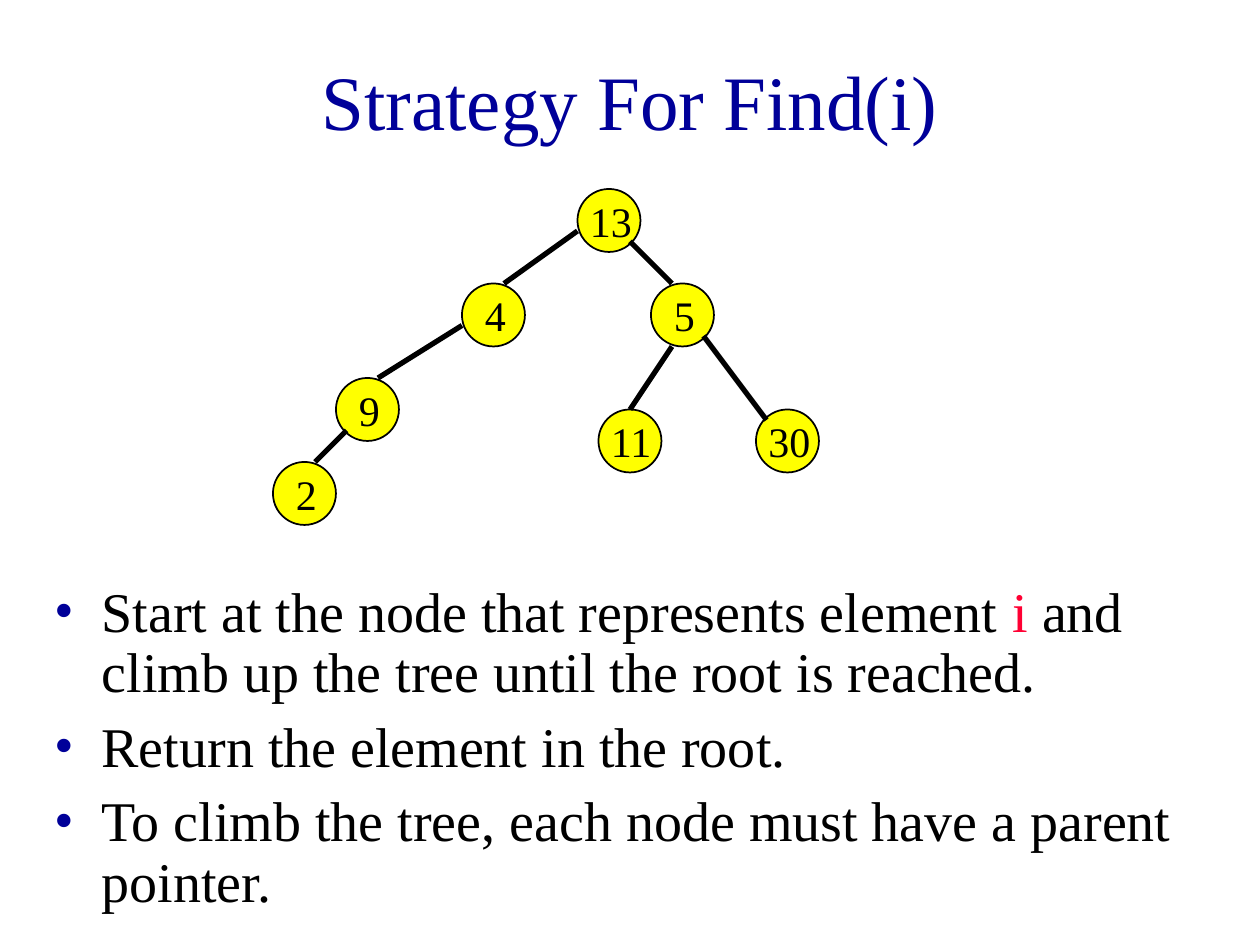
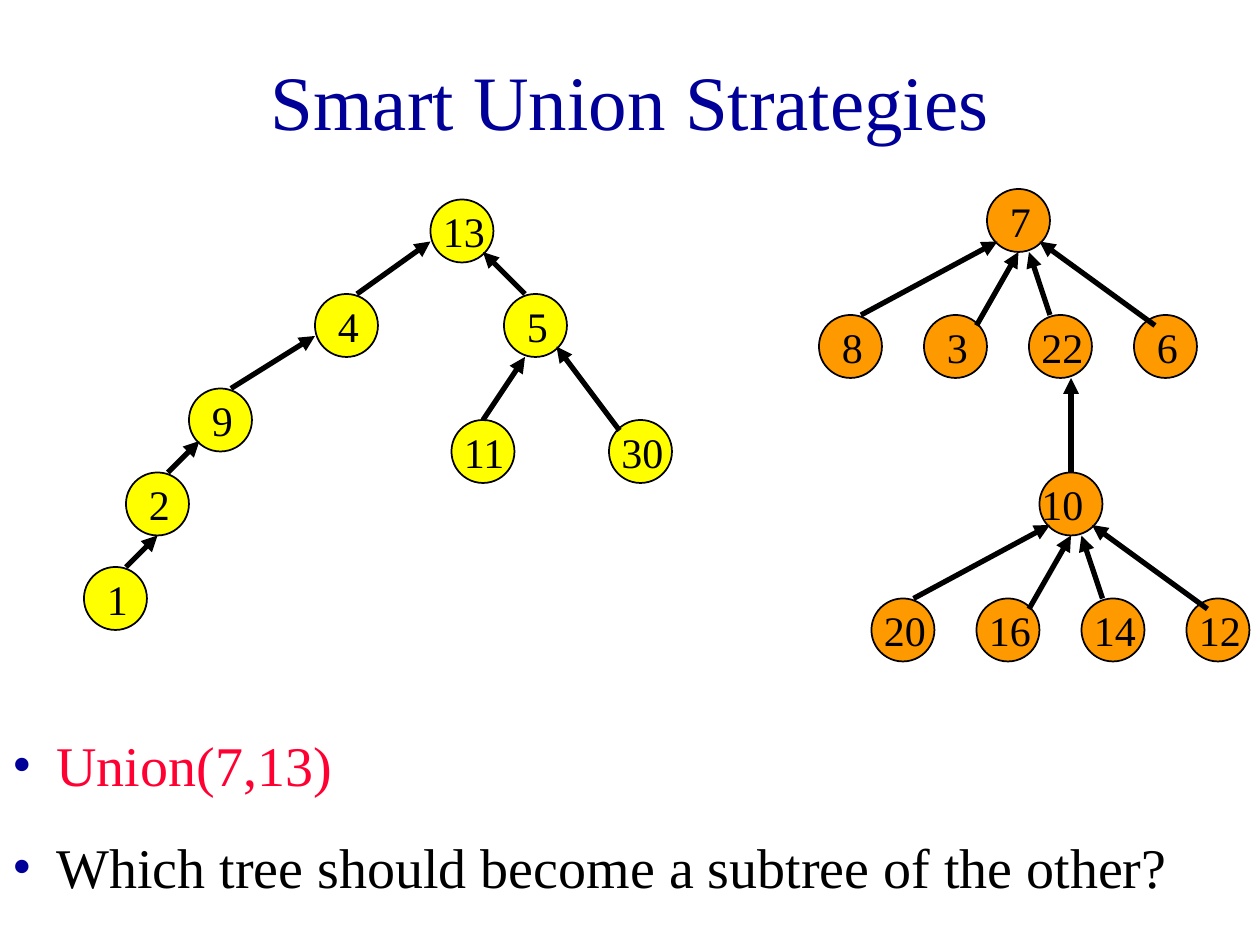
"""Build two slides on find and union strategies for trees."""
from dataclasses import dataclass

from lxml import etree
from pptx import Presentation
from pptx import util as u
from pptx.dml.color import RGBColor
from pptx.enum import shapes, text
from pptx.oxml import ns

PX = 7620
NODE = 60


@dataclass(frozen=True)
class Theme:
    font: str = "Times New Roman"
    navy: str = "000099"
    black: str = "000000"
    red: str = "FF0033"
    yellow: str = "FFFF00"
    orange: str = "FF9900"
    title_size: int = 44
    body_size: int = 32
    node_size: int = 24
    outline: int = 1
    edge: int = 3


BINARY_NODES = [
    ("13", 0, 0), ("4", -110, 90), ("5", 70, 90), ("9", -230, 180),
    ("2", -290, 260), ("11", 20, 210), ("30", 170, 210),
]
BINARY_EDGES = [
    (0, 40, -70, 90), (-110, 130, -190, 180), (50, 50, 90, 90),
    (-220, 230, -250, 260), (90, 150, 50, 210), (120, 140, 180, 220),
]
FAN_EDGES = [
    (10, 50, -120, 120), (30, 60, -10, 130),
    (40, 60, 60, 120), (50, 50, 160, 130),
]


def px(*lengths):
    return [length * PX for length in lengths]


def apply(target, values):
    for name, value in values.items():
        setattr(target, name, value)


def add_xml(parent, tag, **attributes):
    child = etree.SubElement(parent, ns.qn(tag))
    for name, value in attributes.items():
        child.set(name, str(value))
    return child


class Deck:
    def __init__(self, theme):
        self.theme = theme
        self.presentation = Presentation()
        width, height = px(1200, 900)
        apply(self.presentation, {"slide_width": width, "slide_height": height})
        self.slide = None

    def new_slide(self, title):
        self.slide = self.presentation.slides.add_slide(self.presentation.slide_layouts[6])
        frame = self.text_frame((90, 20, 1020, 150), vertical_anchor=text.MSO_ANCHOR.MIDDLE)
        paragraph = frame.paragraphs[0]
        paragraph.alignment = text.PP_ALIGN.CENTER
        self.run(paragraph, title, self.theme.title_size, self.theme.navy)

    def text_frame(self, box, **values):
        frame = self.slide.shapes.add_textbox(*px(*box)).text_frame
        apply(frame, {"word_wrap": True, **values})
        return frame

    def run(self, paragraph, words, size, colour):
        run = paragraph.add_run()
        run.text = words
        apply(run.font, {"name": self.theme.font, "size": u.Pt(size)})
        run.font.color.rgb = RGBColor.from_string(colour)

    def bullets(self, box, items, indent, gap, spacing):
        frame = self.text_frame(box)
        for index, runs in enumerate(items):
            paragraph = frame.add_paragraph() if index else frame.paragraphs[0]
            properties = paragraph._p.get_or_add_pPr()
            properties.set("marL", str(indent * PX))
            properties.set("indent", str(-indent * PX))
            colour = add_xml(properties, "a:buClr")
            add_xml(colour, "a:srgbClr", val=self.theme.navy)
            add_xml(properties, "a:buFont", typeface=self.theme.font)
            add_xml(properties, "a:buChar", char="•")
            apply(paragraph, {"line_spacing": spacing, "space_before": u.Pt(gap if index else 0)})
            for words, tint in runs:
                self.run(paragraph, words, self.theme.body_size, tint)

    def node(self, label, left, top, fill, label_shift=None):
        circle = self.slide.shapes.add_shape(
            shapes.MSO_SHAPE.OVAL, *px(left, top, NODE, NODE))
        circle.shadow.inherit = False
        circle.fill.solid()
        circle.fill.fore_color.rgb = RGBColor.from_string(fill)
        self.stroke(circle.line, self.theme.outline)
        if label_shift is None:
            label_shift = 10 if len(label) == 1 else 0
        width = 40 if len(label) == 1 else 70
        frame = self.text_frame((left + label_shift, top, width, NODE), word_wrap=False)
        self.run(frame.paragraphs[0], label, self.theme.node_size, self.theme.black)

    def stroke(self, line, width):
        line.color.rgb = RGBColor.from_string(self.theme.black)
        line.width = u.Pt(width)

    def edge(self, parent_x, parent_y, child_x, child_y, arrow):
        connector = self.slide.shapes.add_connector(
            shapes.MSO_CONNECTOR.STRAIGHT, *px(parent_x, parent_y, child_x, child_y))
        self.stroke(connector.line, self.theme.edge)
        if arrow:
            add_xml(connector.line._get_or_add_ln(), "a:headEnd", type="triangle")
        add_xml(connector._element.spPr, "a:effectLst")

    def tree(self, left, top, nodes, edges, fill, arrow=True, root_shift=None):
        for index, (label, x, y) in enumerate(nodes):
            self.node(label, left + x, top + y, fill, None if index else root_shift)
        for x1, y1, x2, y2 in edges:
            self.edge(left + x1, top + y1, left + x2, top + y2, arrow)

    def fan(self, left, top, root, children, root_shift=None):
        nodes = [(root, 0, 0)]
        nodes += [(label, 100 * index - 160, 120) for index, label in enumerate(children)]
        self.tree(left, top, nodes, FAN_EDGES, self.theme.orange, root_shift=root_shift)


def find_slide(deck):
    black, red = deck.theme.black, deck.theme.red
    deck.new_slide("Strategy For Find(i)")
    deck.bullets((40, 550, 1100, 350), [
        [("Start at the node that represents element ", black), ("i", red),
         (" and climb up the tree until the root is reached.", black)],
        [("Return the element in the root.", black)],
        [("To climb the tree, each node must have a parent pointer.", black)],
    ], indent=45, gap=8, spacing=0.9)
    deck.tree(550, 180, BINARY_NODES, BINARY_EDGES, deck.theme.yellow, arrow=False)


def union_slide(deck):
    deck.new_slide("Smart Union Strategies")
    deck.tree(410, 190, BINARY_NODES + [("1", -330, 350)],
              BINARY_EDGES + [(-260, 320, -290, 350)], deck.theme.yellow)
    deck.fan(940, 180, "7", ["8", "3", "22", "6"])
    deck.fan(990, 450, "10", ["20", "16", "14", "12"], root_shift=-10)
    deck.edge(1020, 360, 1020, 450, arrow=True)
    deck.bullets((0, 690, 1160, 174), [
        [("Union(7,13)", deck.theme.red)],
        [("Which tree should become a subtree of the other?", deck.theme.black)],
    ], indent=42, gap=20, spacing=1.0)


def main():
    deck = Deck(Theme())
    find_slide(deck)
    union_slide(deck)
    deck.presentation.save("out.pptx")


if __name__ == "__main__":
    main()
